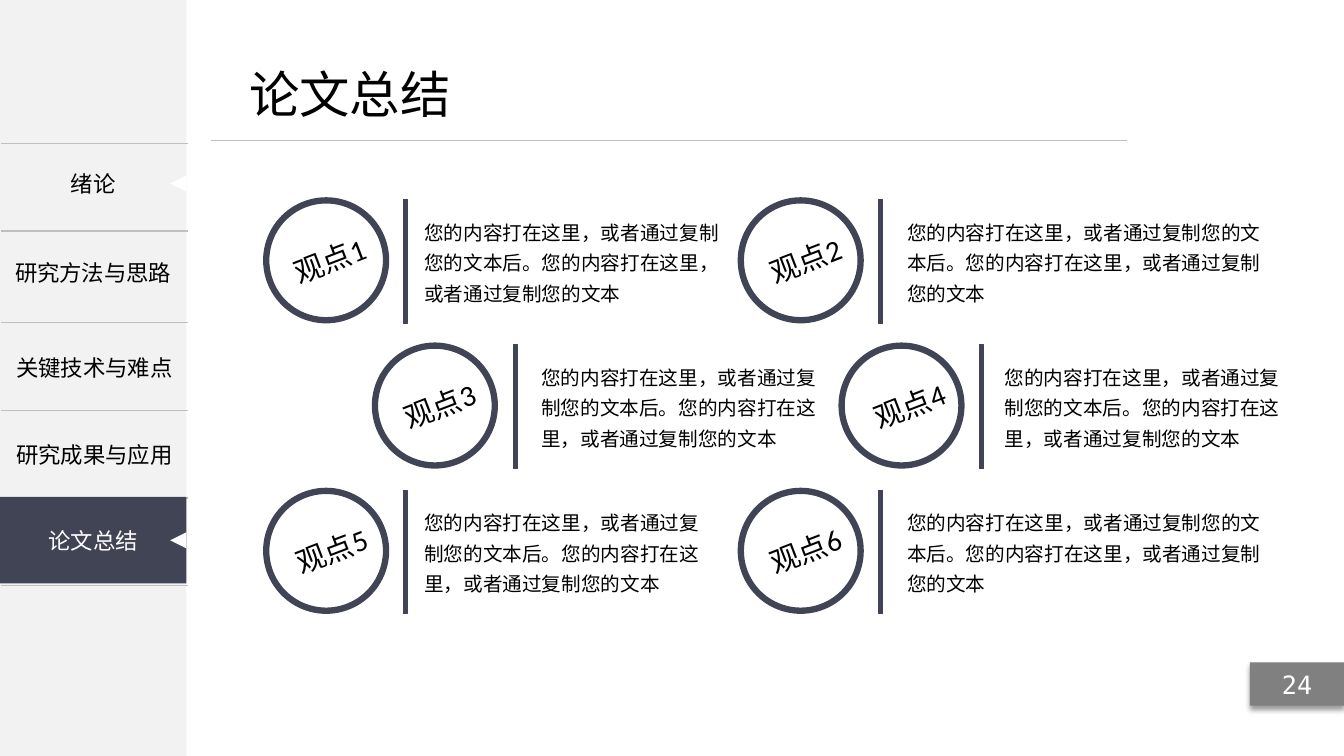
from lxml import etree
from pptx import Presentation
from pptx.dml.color import RGBColor
from pptx.enum.shapes import MSO_CONNECTOR, MSO_SHAPE
from pptx.enum.text import MSO_ANCHOR, PP_ALIGN
from pptx.oxml import parse_xml
from pptx.oxml.ns import nsdecls, qn
from pptx.util import Cm, Pt

RECT, OVAL, TRIANGLE = MSO_SHAPE.RECTANGLE, MSO_SHAPE.OVAL, MSO_SHAPE.ISOSCELES_TRIANGLE
LEFT, CENTER = PP_ALIGN.LEFT, PP_ALIGN.CENTER
TOP, MIDDLE = MSO_ANCHOR.TOP, MSO_ANCHOR.MIDDLE
NAVY = RGBColor(0x41, 0x44, 0x55)
PALE = RGBColor(0xF2, 0xF2, 0xF2)
SILVER = RGBColor(0xBF, 0xBF, 0xBF)
GRAY = RGBColor(0x80, 0x80, 0x80)
WHITE = RGBColor(0xFF, 0xFF, 0xFF)
BLACK = RGBColor(0, 0, 0)
HAN = "Noto Sans CJK SC"
BODY = "您的内容打在这里，或者通过复制您的文本后。您的内容打在这里，或者通过复制您的文本"


def write(frame, text, size, color=BLACK, face=HAN, align=CENTER, space=None):
    """Fill a text frame or table cell with one styled paragraph."""
    for side in ("left", "top", "right", "bottom"):
        setattr(frame, "margin_" + side, Cm(0.1 if space else 0.13))
    para = getattr(frame, "text_frame", frame).paragraphs[0]
    para.alignment = align
    if space:
        para.line_spacing = space
    run = para.add_run()
    run.text = text
    look = {"size": Pt(size), "name": face, "bold": False}
    for key, value in look.items():
        setattr(run.font, key, value)
    run.font.color.rgb = color
    east = etree.SubElement(run.font._element, qn("a:ea"))
    east.set("typeface", HAN)


def draw(kind, x, y, w, h, fill, line=None, width=0.75):
    shape = slide.shapes.add_shape(kind, Cm(x), Cm(y), Cm(w), Cm(h))
    shape.shadow.inherit = False
    shape.fill.solid()
    shape.fill.fore_color.rgb = fill
    if line is None:
        shape.line.fill.background()
    else:
        shape.line.color.rgb = line
        shape.line.width = Pt(width)
    return shape


deck = Presentation()
deck.slide_width, deck.slide_height = Cm(33.87), Cm(19.05)
slide = deck.slides.add_slide(deck.slide_layouts[5])

# Sidebar, title and rule
draw(RECT, 0, 0, 4.7, 19.05, PALE)
title = slide.shapes.title
title.left, title.top, title.width, title.height = Cm(6.15), Cm(1.47), Cm(5.36), Cm(2.01)
title.text_frame.word_wrap = False
title.text_frame.vertical_anchor = TOP
write(title.text_frame, "论文总结", 36, align=LEFT)
rule = slide.shapes.add_connector(MSO_CONNECTOR.STRAIGHT, Cm(5.31), Cm(3.53), Cm(28.4), Cm(3.53))
rule.line.color.rgb = SILVER
rule.line.width = Pt(0.5)
etree.SubElement(rule._element.spPr, qn("a:effectLst"))

# Navigation table
table = slide.shapes.add_table(5, 1, Cm(0.03), Cm(3.61), Cm(4.7), Cm(11.15)).table
table.first_row = table.horz_banding = False
for index, label in enumerate(["", "", "关键技术与难点", "研究成果与应用", ""]):
    table.rows[index].height = Cm(2.31 if index == 1 else 2.21)
    cell = table.cell(index, 0)
    cell.vertical_anchor = MIDDLE
    if label:
        write(cell, label, 16)
    props = cell._tc.get_or_add_tcPr()
    for side in "LRTB":
        paint = "<a:noFill/>"
        if side in "TB":
            paint = f'<a:solidFill><a:srgbClr val="{SILVER}"/></a:solidFill>'
        props.append(parse_xml(f'<a:ln{side} {nsdecls("a")} w="12700">{paint}</a:ln{side}>'))
    cell.fill.background()

# Navigation labels and markers
draw(RECT, 0, 12.52, 4.7, 2.18, NAVY)
for label, y, color in [("绪论", 4.11, BLACK), ("研究方法与思路", 6.35, BLACK),
                        ("论文总结", 13.11, WHITE)]:
    frame = slide.shapes.add_textbox(0, Cm(y), Cm(4.7), Cm(1.04)).text_frame
    frame.word_wrap = True
    frame.vertical_anchor = MIDDLE
    write(frame, label, 16, color)
for y in (4.42, 13.41):
    draw(TRIANGLE, 4.29, y, 0.41, 0.41, WHITE).rotation = 270

# Page number
page = draw(RECT, 31.5, 16.69, 2.38, 1.09, GRAY)
page.text_frame.vertical_anchor = MIDDLE
write(page.text_frame, "24", 18, WHITE, "DejaVu Sans Mono")
effects = page._element.spPr.find(qn("a:effectLst"))
effects.append(parse_xml(
    f'<a:outerShdw {nsdecls("a")} blurRad="50800" dist="38100" dir="5400000">'
    '<a:srgbClr val="000000"><a:alpha val="40000"/></a:srgbClr></a:outerShdw>'))

# Viewpoints: ring, label, bar and body left edges, then body width
views = [
    (6.71, 6.78, 10.16, 10.59, 8.08), (18.67, 18.77, 22.15, 22.76, 9.32),
    (9.45, 9.55, 12.95, 13.54, 7.47), (21.21, 21.39, 24.69, 25.22, 7.37),
    (6.71, 6.83, 10.16, 10.59, 7.62), (18.67, 18.77, 22.15, 22.76, 9.32),
]
for index, (ring, name, bar, body, width) in enumerate(views):
    y = 5.05 + index // 2 * 3.66
    draw(OVAL, ring, y, 3.02, 3.02, WHITE, NAVY, 4.5)
    draw(RECT, bar, y - 0.02, 0.1, 3.12, NAVY, NAVY)
    label = slide.shapes.add_textbox(Cm(name), Cm(y + 0.93), Cm(3.1), Cm(1.27))
    label.rotation = 338.9
    label.text_frame.word_wrap = True
    write(label.text_frame, f"观点{index + 1}", 21, face="Calibri")
    frame = slide.shapes.add_textbox(Cm(body), Cm(y + 0.23), Cm(width), Cm(2.77)).text_frame
    frame.word_wrap = True
    write(frame, BODY, 14, align=LEFT, space=1.3)

deck.save("out.pptx")
